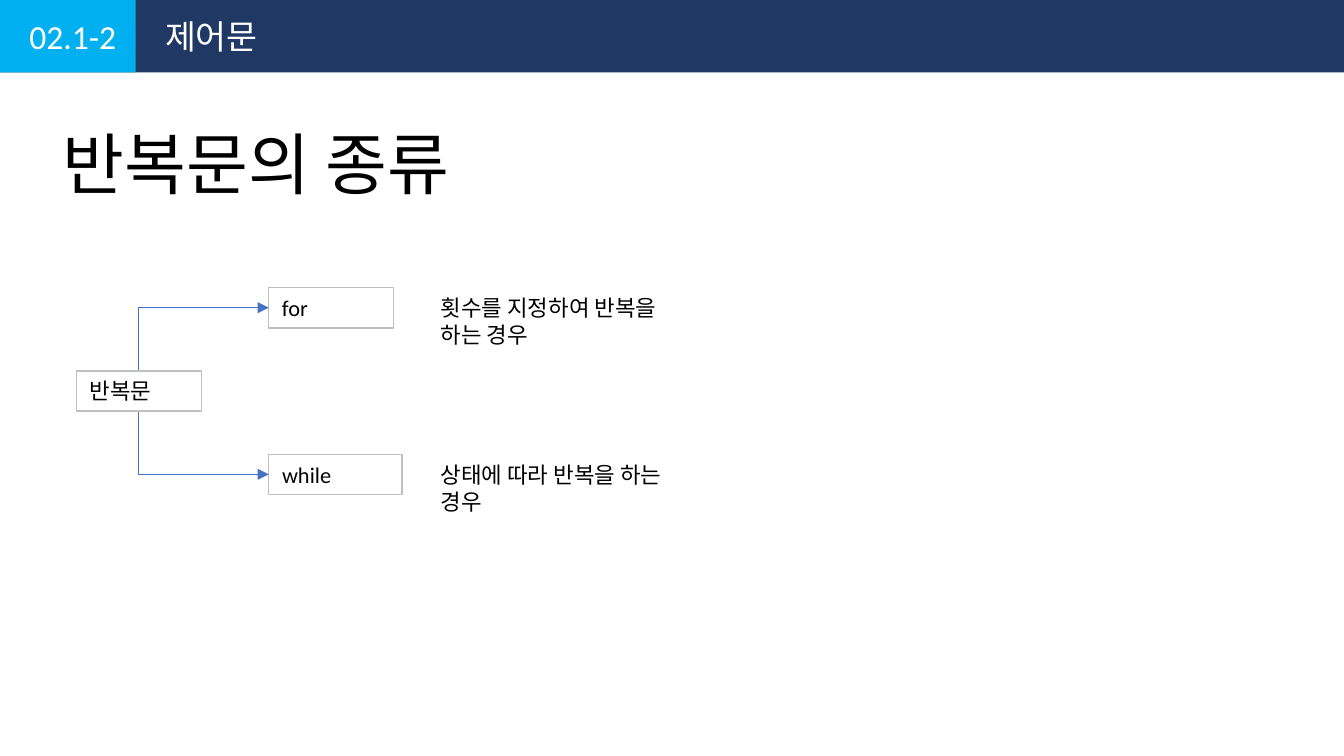
from lxml import etree
from pptx import Presentation
from pptx.dml.color import RGBColor
from pptx.enum import lang, shapes, text
from pptx.oxml.ns import qn
from pptx.util import Inches, Pt

COLORS = {
    "navy": "203864",
    "sky": "00B0F0",
    "white": "FFFFFF",
    "black": "000000",
    "border": "BFBFBF",
    "arrow": "4472C4",
}


class Deck:
    font = "Calibri"
    language = lang.MSO_LANGUAGE_ID.KOREAN

    def __init__(self, width, height):
        self.prs = Presentation()
        self.prs.slide_width = Inches(width)
        self.prs.slide_height = Inches(height)
        self.s = self.prs.slides.add_slide(self.prs.slide_layouts[6])

    def color(self, name):
        return RGBColor.from_string(COLORS[name])

    def bar(self, x, y, w, h, fill):
        sp = self.s.shapes.add_shape(
            shapes.MSO_SHAPE.RECTANGLE, *map(Inches, (x, y, w, h)))
        sp.shadow.inherit = False
        sp.fill.solid()
        sp.fill.fore_color.rgb = self.color(fill)
        sp.line.fill.background()

    def label(self, x, y, w, h, words, size=12, color="black"):
        sp = self.s.shapes.add_textbox(*map(Inches, (x, y, w, h)))
        tf = sp.text_frame
        tf.word_wrap = True
        tf.auto_size = text.MSO_AUTO_SIZE.SHAPE_TO_FIT_TEXT
        r = tf.paragraphs[0].add_run()
        r.text = words
        style = {"name": self.font, "size": Pt(size), "language_id": self.language}
        for key, value in style.items():
            setattr(r.font, key, value)
        r.font.color.rgb = self.color(color)
        # East Asian letters take their typeface from a separate element.
        etree.SubElement(r._r.rPr, qn("a:ea"), typeface=self.font)
        return sp

    def box(self, x, y, w, h, words):
        sp = self.label(x, y, w, h, words)
        sp.line.color.rgb = self.color("border")
        sp.line.width = Pt(0.75)

    def elbow(self, x1, y1, x2, y2):
        """Arrow that leaves vertically, turns once and arrives horizontally."""
        down = y2 > y1
        mid_x, mid_y = (x1 + x2) / 2, (y1 + y2) / 2
        half_w, half_h = abs(y2 - y1) / 2, (x2 - x1) / 2
        # The preset starts horizontally, so it is flipped and turned a quarter.
        top, bottom = mid_y - half_h, mid_y + half_h
        start, end = (top, bottom) if down else (bottom, top)
        c = self.s.shapes.add_connector(
            shapes.MSO_CONNECTOR.ELBOW,
            *map(Inches, (mid_x + half_w, start, mid_x - half_w, end)))
        c.line.color.rgb = self.color("arrow")
        c.line.width = Pt(0.5)
        sp_pr = c._element.spPr
        sp_pr.find(qn("a:xfrm")).set("rot", str((270 if down else 90) * 60000))
        sp_pr.find(qn("a:prstGeom")).set("prst", "bentConnector2")
        etree.SubElement(sp_pr.find(qn("a:ln")), qn("a:tailEnd"), type="triangle")
        etree.SubElement(sp_pr, qn("a:effectLst"))


def main():
    deck = Deck(10, 10 * 9 / 16)
    deck.bar(0, 0, 10, 0.54, "navy")
    deck.bar(0, 0, 1.01, 0.54, "sky")
    deck.label(0.12, 0.07, 0.9, 0.4, "02.1-2", 18, "white")
    deck.label(1.13, 0.07, 5.16, 0.4, "제어문", 18, "white")
    deck.label(0.37, 0.86, 4.38, 0.71, "반복문의 종류", 36)

    box_h, root_y, root_x, branch_x = 0.3, 2.76, 1.03, 2
    branches = [
        (2.14, 0.93, "for", "횟수를 지정하여 반복을 하는 경우", root_y),
        (3.38, 0.99, "while", "상태에 따라 반복을 하는 경우", root_y + box_h),
    ]
    for y, w, keyword, usage, start_y in branches:
        deck.box(branch_x, y, w, box_h, keyword)
        deck.label(3.18, y, 2.07, 0.5, usage)
        deck.elbow(root_x, start_y, branch_x, y + box_h / 2)
    deck.box(0.57, root_y, 0.93, box_h, "반복문")

    deck.prs.save("out.pptx")


if __name__ == "__main__":
    main()
